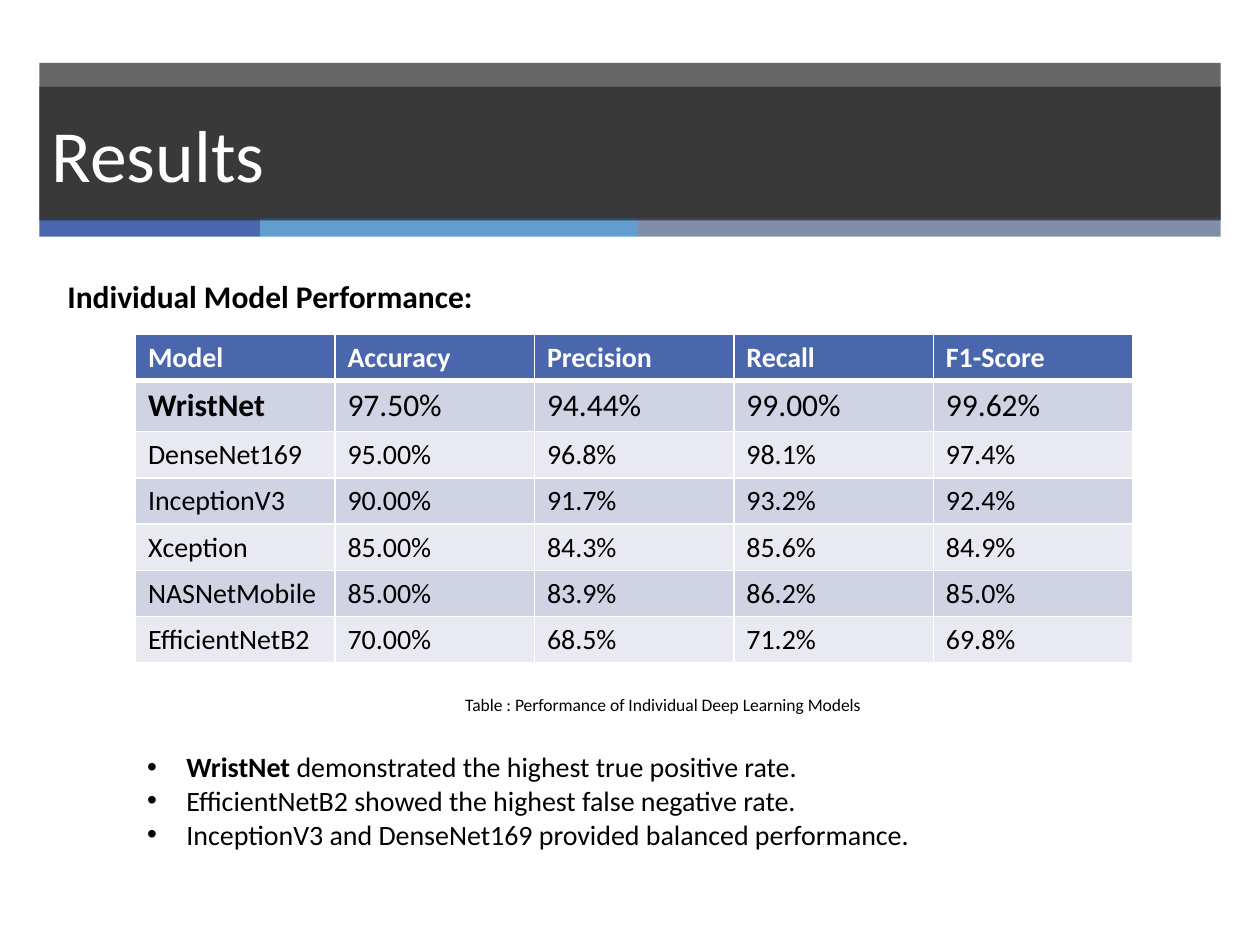
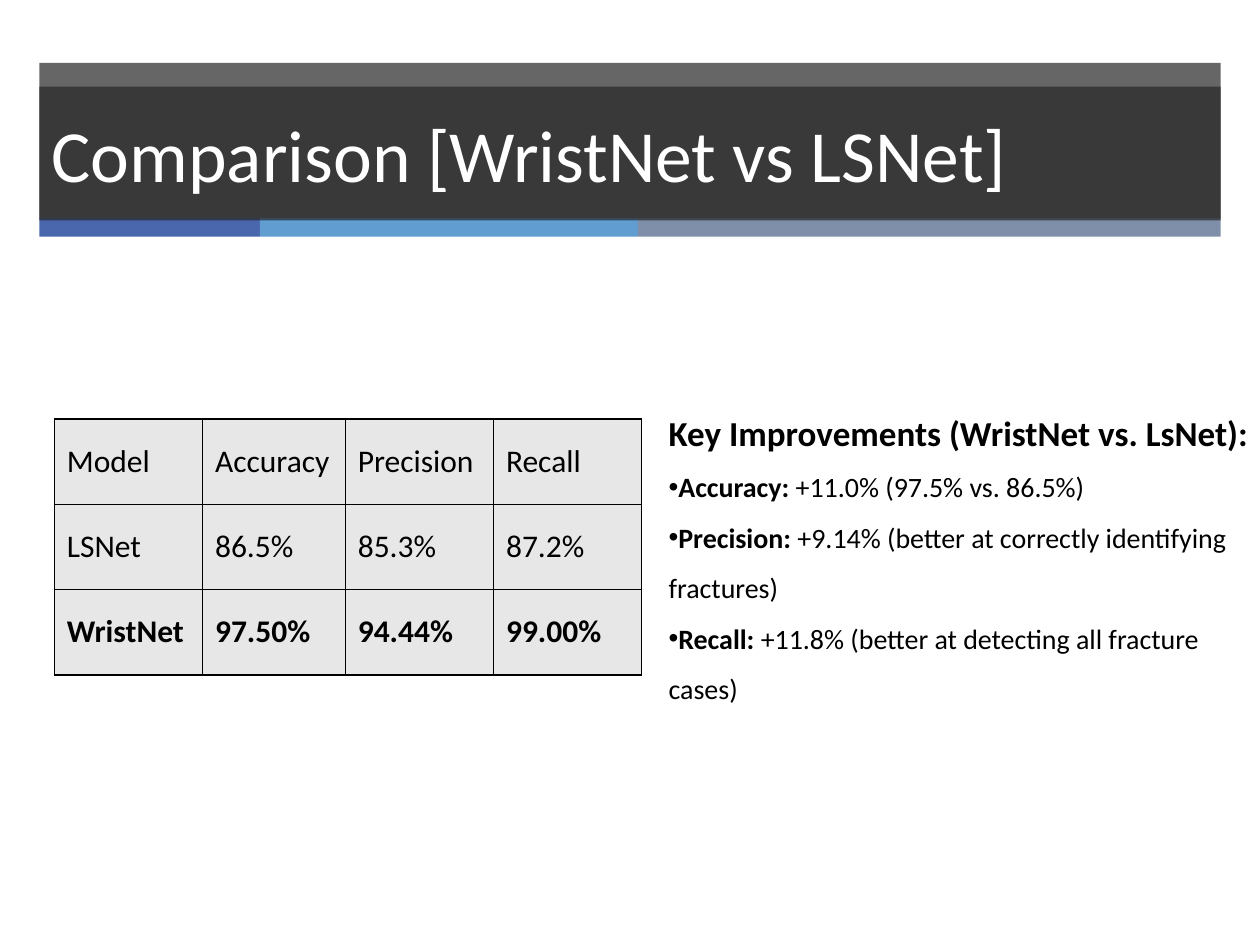
from dataclasses import dataclass

from lxml.etree import SubElement
from pptx import Presentation
from pptx.dml.color import RGBColor
from pptx.enum.shapes import MSO_SHAPE
from pptx.enum.text import MSO_ANCHOR, PP_ALIGN
from pptx.oxml.ns import qn
from pptx.util import Pt

FONT = "Calibri"
BLACK, WHITE, CHARCOAL = "000000", "FFFFFF", "262626"
BLUE, SKY, SLATE = "4A66AC", "629DD1", "7F8FA9"
ROW_TINTS = ("D0D3E3", "E9EAF1")
GREY = "E7E7E7"

BAND_LEFT, BAND_WIDTH = 22.5, 675
BAND_OPACITY = 70
ACCENTS = ((BLUE, 126), (SKY, 216), (SLATE, 333))


@dataclass(frozen=True)
class Box:
    left: float
    top: float
    width: float
    height: float

    def lengths(self) -> tuple:
        return Pt(self.left), Pt(self.top), Pt(self.width), Pt(self.height)


@dataclass(frozen=True)
class Line:
    """One paragraph: a bold lead followed by plain text."""
    lead: str = ""
    rest: str = ""
    size: float = 16
    bullet: bool = False
    indent: float = 0
    spacing: float = 1
    alignment: PP_ALIGN = PP_ALIGN.LEFT


@dataclass(frozen=True)
class RowStyle:
    fill: str
    size: float
    color: str = BLACK
    bold_cells: int = 0
    anchor: MSO_ANCHOR = MSO_ANCHOR.MIDDLE
    top: float = 1
    bottom: float = 1


def rgb(color: str) -> RGBColor:
    return RGBColor.from_string(color)


def style_run(run, size: float, color: str = BLACK, bold: bool = False) -> None:
    run.font.name = FONT
    run.font.size = Pt(size)
    run.font.bold = bold
    run.font.color.rgb = rgb(color)


def add_band(slide, box: Box, color: str, opacity: int = 100):
    shape = slide.shapes.add_shape(MSO_SHAPE.RECTANGLE, *box.lengths())
    shape.shadow.inherit = False
    shape.line.fill.background()
    shape.fill.solid()
    shape.fill.fore_color.rgb = rgb(color)
    if opacity < 100:
        color_element = shape.fill._xPr.find(qn("a:solidFill"))[0]
        SubElement(color_element, qn("a:alpha"), val=str(opacity * 1000))
    return shape


def add_titled_slide(presentation, title: str):
    slide = presentation.slides.add_slide(presentation.slide_layouts[6])
    add_band(slide, Box(BAND_LEFT, 36, BAND_WIDTH, 89), CHARCOAL, BAND_OPACITY)
    left = BAND_LEFT
    for color, width in ACCENTS:
        add_band(slide, Box(left, 124.5, width, 10.8), color)
        left += width
    title_box = Box(BAND_LEFT, 49.5, BAND_WIDTH, 76.5)
    shape = add_band(slide, title_box, CHARCOAL, BAND_OPACITY)
    text_frame = shape.text_frame
    text_frame.text = title
    text_frame.vertical_anchor = MSO_ANCHOR.MIDDLE
    paragraph = text_frame.paragraphs[0]
    paragraph.alignment = PP_ALIGN.LEFT
    paragraph.space_after = Pt(6)
    style_run(paragraph.runs[0], 42, WHITE)
    return slide


def add_bullet(paragraph, indent: float) -> None:
    properties = paragraph._p.get_or_add_pPr()
    properties.set("marL", str(Pt(indent)))
    properties.set("indent", str(-Pt(indent)))
    SubElement(properties, qn("a:buFont"), typeface="Arial")
    SubElement(properties, qn("a:buChar"), char="•")


def add_text(slide, box: Box, lines: list[Line]) -> None:
    text_frame = slide.shapes.add_textbox(*box.lengths()).text_frame
    text_frame.word_wrap = True
    for index, line in enumerate(lines):
        paragraph = text_frame.add_paragraph() if index else text_frame.paragraphs[0]
        paragraph.alignment = line.alignment
        paragraph.line_spacing = line.spacing
        if line.bullet:
            add_bullet(paragraph, line.indent)
        for text, bold in ((line.lead, True), (line.rest, False)):
            if text:
                run = paragraph.add_run()
                run.text = text
                style_run(run, line.size, bold=bold)


def set_borders(cell, color: str, top: float, bottom: float) -> None:
    properties = cell._tc.get_or_add_tcPr()
    for side, width in (("L", 1), ("R", 1), ("T", top), ("B", bottom)):
        border = SubElement(properties, qn(f"a:ln{side}"), w=str(Pt(width)))
        fill = SubElement(border, qn("a:solidFill"))
        SubElement(fill, qn("a:srgbClr"), val=color)


def add_table(slide, left: float, top: float, widths: list[float], heights: list[float],
              rows: list[tuple], styles: list[RowStyle], border: str) -> None:
    box = Box(left, top, sum(widths), sum(heights))
    table = slide.shapes.add_table(len(rows), len(widths), *box.lengths()).table
    table.first_row = False
    table.horz_banding = False
    for column, width in zip(table.columns, widths):
        column.width = Pt(width)
    for row, height, values, style in zip(table.rows, heights, rows, styles):
        row.height = Pt(height)
        for index, (cell, value) in enumerate(zip(row.cells, values)):
            set_borders(cell, border, style.top, style.bottom)
            cell.fill.solid()
            cell.fill.fore_color.rgb = rgb(style.fill)
            cell.vertical_anchor = style.anchor
            cell.text = value
            run = cell.text_frame.paragraphs[0].runs[0]
            style_run(run, style.size, style.color, index < style.bold_cells)


def build_results(presentation) -> None:
    slide = add_titled_slide(presentation, "Results")
    add_text(slide, Box(31.5, 155, 360, 29), [Line("Individual Model Performance:", size=18)])
    bullets = [
        ("WristNet", " demonstrated the highest true positive rate."),
        ("", "EfficientNetB2 showed the highest false negative rate."),
        ("", "InceptionV3 and DenseNet169 provided balanced performance."),
    ]
    add_text(slide, Box(77, 425, 570, 65.5),
             [Line(lead, rest, bullet=True, indent=22.5) for lead, rest in bullets])
    add_text(slide, Box(227.5, 393, 302.5, 19.5),
             [Line(rest="Table : Performance of Individual Deep Learning Models",
                   size=10, alignment=PP_ALIGN.CENTER)])

    rows = [
        ("Model", "Accuracy", "Precision", "Recall", "F1-Score"),
        ("WristNet", "97.50%", "94.44%", "99.00%", "99.62%"),
        ("DenseNet169", "95.00%", "96.8%", "98.1%", "97.4%"),
        ("InceptionV3", "90.00%", "91.7%", "93.2%", "92.4%"),
        ("Xception", "85.00%", "84.3%", "85.6%", "84.9%"),
        ("NASNetMobile", "85.00%", "83.9%", "86.2%", "85.0%"),
        ("EfficientNetB2", "70.00%", "68.5%", "71.2%", "69.8%"),
    ]
    header = RowStyle(BLUE, 16, WHITE, bold_cells=5, bottom=3)
    best = RowStyle(ROW_TINTS[0], 18, bold_cells=1, anchor=MSO_ANCHOR.TOP, top=3)
    others = [RowStyle(ROW_TINTS[index % 2], 16) for index in range(1, len(rows) - 1)]
    heights = [26.3, 29.2] + [26.3] * len(others)
    add_table(slide, 77.4, 191, [114] * 5, heights, rows, [header, best, *others], WHITE)


def build_comparison(presentation) -> None:
    slide = add_titled_slide(presentation, "Comparison [WristNet vs LSNet]")
    rows = [
        ("Model", "Accuracy", "Precision", "Recall"),
        ("LSNet", "86.5%", "85.3%", "87.2%"),
        ("WristNet", "97.50%", "94.44%", "99.00%"),
    ]
    plain, best = RowStyle(GREY, 18), RowStyle(GREY, 18, bold_cells=4)
    add_table(slide, 31, 239.5, [84.7, 81.6, 84.7, 84.7], [48.7] * 3, rows,
              [plain, plain, best], BLACK)

    improvements = [
        ("Accuracy:", " +11.0% (97.5% vs. 86.5%)"),
        ("Precision:", " +9.14% (better at correctly identifying fractures)"),
        ("Recall:", " +11.8% (better at detecting all fracture cases)"),
    ]
    heading = Line("Key Improvements (WristNet vs. LsNet):", size=20, spacing=1.5)
    bullets = [Line(lead, rest, bullet=True, spacing=1.5) for lead, rest in improvements]
    add_text(slide, Box(375, 219.5, 353.5, 186), [heading, *bullets])


def main() -> None:
    presentation = Presentation()
    presentation.slide_width = Pt(720)
    presentation.slide_height = Pt(540)
    build_results(presentation)
    build_comparison(presentation)
    presentation.save("out.pptx")


if __name__ == "__main__":
    main()
